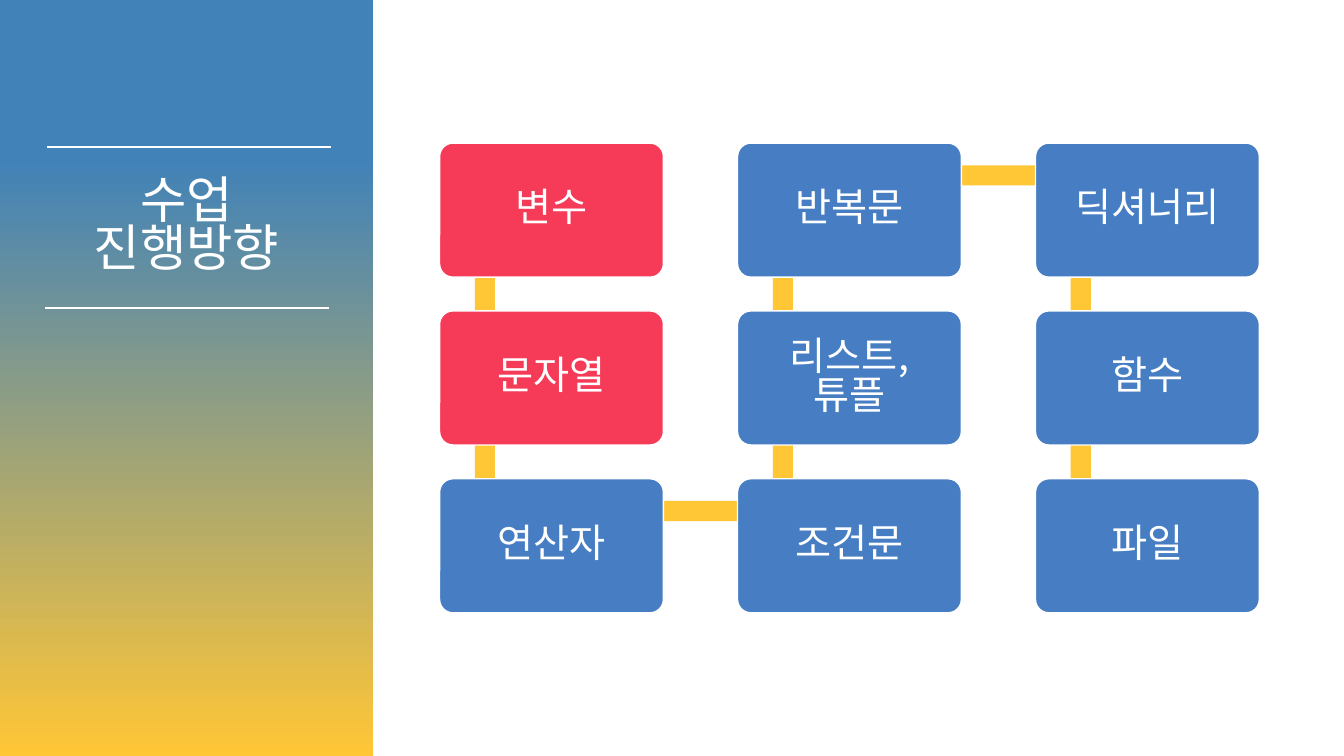
import pptx
import pptx.util
import pptx.dml.color
import pptx.enum.shapes
import pptx.enum.text
import pptx.oxml
import pptx.oxml.ns
from pptx.util import Inches

# Content
TITLE = "수업\n진행방향"
TOPICS = ["변수", "문자열", "연산자", "조건문", "리스트,튜플",
          "반복문", "딕셔너리", "함수", "파일"]
DONE = 2  # topics already covered

THEME = {
    "font": "Noto Sans CJK KR", "title": 36, "topic": 28,
    "white": "FFFFFF", "blue": "4182B8", "gold": "FFC636",
    "done": "F53B57", "next": "467DC3",
}

# Grid of topics, running down, up and down again
ROWS = 3
LEFT, TOP = 4.36, 1.42
WIDE, HIGH = 2.22, 1.33
STEP_X, STEP_Y = 2.955, 1.665
BAR = 0.2

SHAPE = pptx.enum.shapes.MSO_SHAPE
ALIGN = pptx.enum.text.PP_ALIGN
ANCHOR = pptx.enum.text.MSO_ANCHOR


def color(name):
    return pptx.dml.color.RGBColor.from_string(THEME[name])


def add_box(slide, kind, x, y, w, h, fill=None):
    box = slide.shapes.add_shape(kind, Inches(x), Inches(y), Inches(w), Inches(h))
    box.shadow.inherit = False
    box.line.fill.background()
    if fill:
        box.fill.solid()
        box.fill.fore_color.rgb = color(fill)
    return box


def set_text(frame, text, size, anchor, inset, space):
    frame.text = text
    frame.word_wrap = True
    frame.auto_size = pptx.enum.text.MSO_AUTO_SIZE.NONE
    frame.vertical_anchor = anchor
    frame.margin_left = frame.margin_right = Inches(inset)
    frame.margin_top = frame.margin_bottom = Inches(0.05)
    for para in frame.paragraphs:
        para.alignment = ALIGN.CENTER
        para.line_spacing = space
        for run in para.runs:
            run.font.size = pptx.util.Pt(THEME[size])
            run.font.name = THEME["font"]
            run.font.color.rgb = color("white")
            east = pptx.oxml.ns.qn("a:ea")
            run.font._element.makeelement(east)
            ea = pptx.oxml.parse_xml(
                '<a:ea %s typeface="%s"/>' % (pptx.oxml.ns.nsdecls("a"), THEME["font"]))
            run.font._element.append(ea)


def add_rule(slide, x, y, length):
    rule = slide.shapes.add_connector(
        pptx.enum.shapes.MSO_CONNECTOR.STRAIGHT,
        Inches(x), Inches(y), Inches(x + length), Inches(y))
    rule.line.color.rgb = color("white")
    rule.line.width = pptx.util.Pt(1.5)
    rule._element.spPr.append(pptx.oxml.parse_xml(
        "<a:effectLst %s/>" % pptx.oxml.ns.nsdecls("a")))


def place(i):
    col, row = divmod(i, ROWS)
    if col % 2:
        row = ROWS - 1 - row
    return LEFT + col * STEP_X, TOP + row * STEP_Y


def add_panel(slide):
    panel = add_box(slide, SHAPE.RECTANGLE, 0, 0, 3.7, 7.5)
    panel.fill.gradient()
    panel.fill.gradient_angle = 270
    stops = zip(panel.fill.gradient_stops, ((0.21, "blue"), (1, "gold")))
    for stop, (spot, name) in stops:
        stop.position = spot
        stop.color.rgb = color(name)
    add_rule(slide, 0.47, 1.46, 2.81)
    add_rule(slide, 0.45, 3.06, 2.81)

    # Title, brought in front of the panel
    title = slide.shapes.title
    title.left, title.top = Inches(0), Inches(1.61)
    title.width, title.height = Inches(3.7), Inches(1.31)
    set_text(title.text_frame, TITLE, "title", ANCHOR.MIDDLE, 0.1, 0.8)
    title._element.getparent().append(title._element)


def add_path(slide):
    spots = [place(i) for i in range(len(TOPICS))]
    # Bars joining each topic to the next
    for (x, y), (x2, y2) in zip(spots, spots[1:]):
        if x == x2:
            add_box(slide, SHAPE.RECTANGLE, x + 0.35, min(y, y2) + 0.33,
                    BAR, STEP_Y, "gold")
        else:
            add_box(slide, SHAPE.RECTANGLE, x + 0.45, y + 0.22,
                    STEP_X, BAR, "gold")
    # Topic boxes
    for i, (x, y) in enumerate(spots):
        fill = "done" if i < DONE else "next"
        box = add_box(slide, SHAPE.ROUNDED_RECTANGLE, x, y, WIDE, HIGH, fill)
        box.adjustments[0] = 0.1
        box.line.color.rgb = color("white")
        box.line.width = pptx.util.Pt(1)
        set_text(box.text_frame, TOPICS[i], "topic", ANCHOR.MIDDLE, 0.16, 0.83)


def main():
    deck = pptx.Presentation()
    deck.slide_width, deck.slide_height = Inches(13.33), Inches(7.5)
    slide = deck.slides.add_slide(deck.slide_layouts[5])
    add_panel(slide)
    add_path(slide)
    deck.save("out.pptx")


if __name__ == "__main__":
    main()
